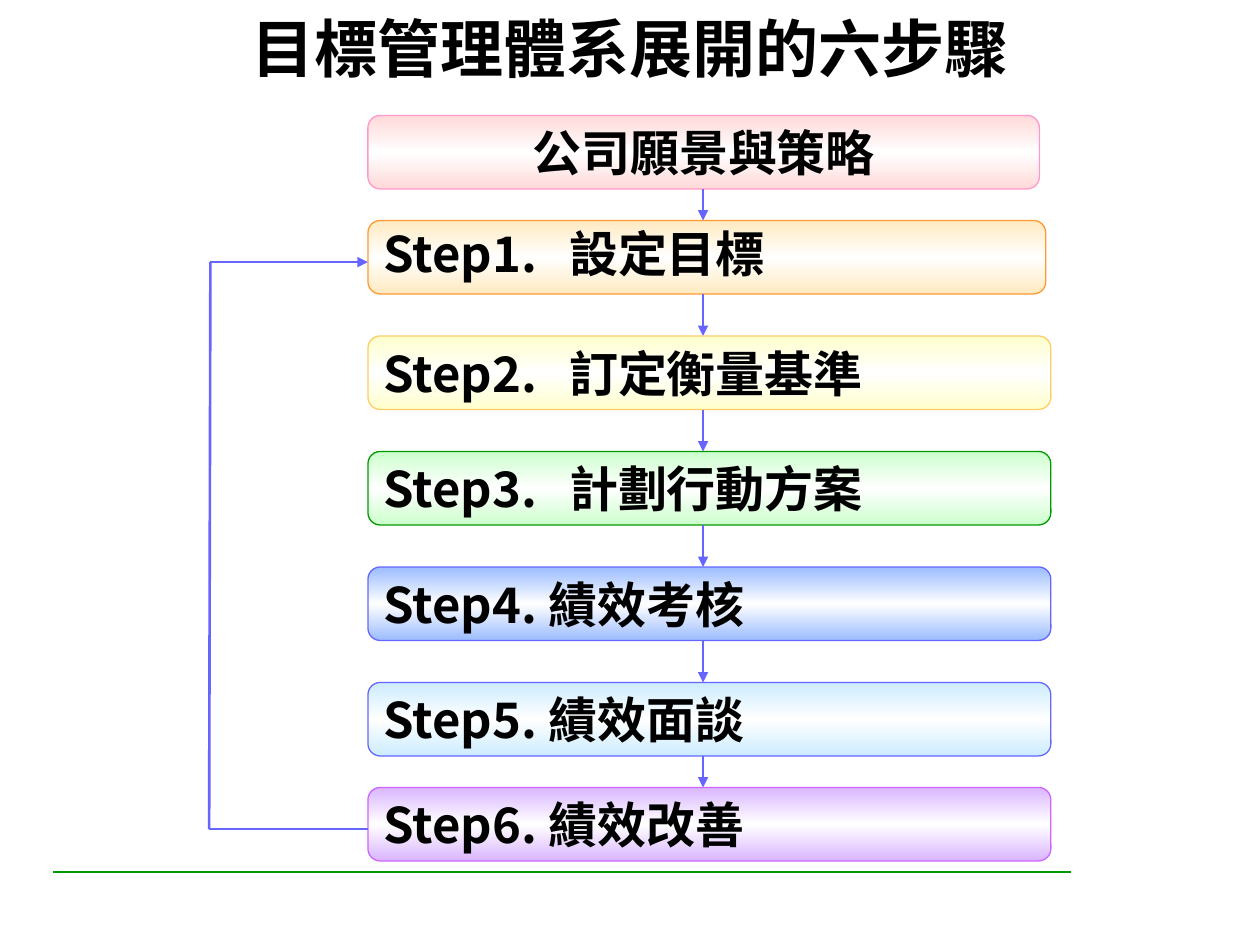
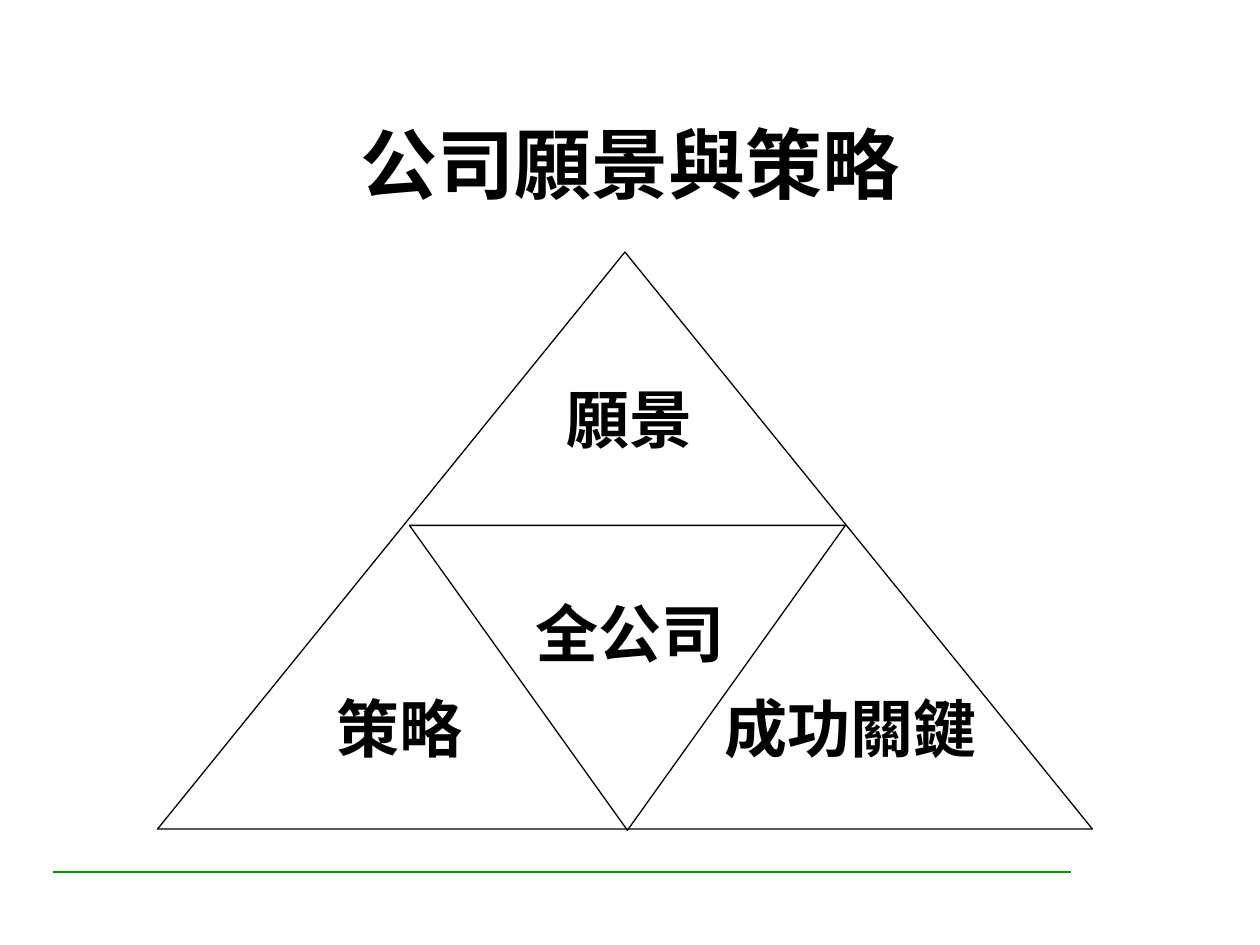
from copy import deepcopy
from dataclasses import dataclass

from lxml.etree import SubElement
from pptx import Presentation
from pptx.dml.color import RGBColor as Rgb
from pptx.enum.shapes import MSO_CONNECTOR as Wire, MSO_SHAPE as Form
from pptx.enum.text import MSO_ANCHOR as Anchor, MSO_AUTO_SIZE as Fit, PP_ALIGN as Align
from pptx.oxml.ns import qn
from pptx.util import Inches, Pt


@dataclass(frozen=True)
class Theme:
    font: str = "Noto Sans CJK SC"
    serif: str = "Times New Roman"
    ink: str = "000000"
    white: str = "FFFFFF"
    green: str = "009900"
    blue: str = "6666FF"
    head: int = 36
    large: int = 44
    step: int = 28
    label: int = 36
    thin: float = 0.75
    thick: float = 1.5


theme = Theme()


def write(shape, text, size, font=theme.font, align=Align.CENTER, anchor=Anchor.MIDDLE, space=None, tab=None):
    frame = shape.text_frame
    frame.auto_size = Fit.NONE
    frame.word_wrap = True
    frame.vertical_anchor = anchor
    para = frame.paragraphs[0]
    para.alignment = align
    if space:
        para.line_spacing = space
    if tab:
        stops = SubElement(para._p.get_or_add_pPr(), qn("a:tabLst"))
        SubElement(stops, qn("a:tab"), pos=str(Inches(tab)), algn="l")
    run = para.add_run()
    run.text = text
    run.font.size = Pt(size)
    run.font.bold = True
    run.font.name = font
    run.font.color.rgb = Rgb.from_string(theme.ink)
    SubElement(run._r.get_or_add_rPr(), qn("a:ea"), typeface=theme.font)


def link(slide, start, end, color, width, arrow=False):
    line = slide.shapes.add_connector(Wire.STRAIGHT, *map(Inches, start + end))
    line.line.color.rgb = Rgb.from_string(color)
    line.line.width = Pt(width)
    if arrow:
        SubElement(line.line._get_or_add_ln(), qn("a:tailEnd"), type="triangle")
    SubElement(line.element.spPr, qn("a:effectLst"))
    return line


deck = Presentation()
deck.slide_width, deck.slide_height = Inches(10), Inches(7.5)

slides = []
for text, top, size in (
    ("目標管理體系展開的六步驟", -0.19, theme.head),
    ("公司願景與策略", 0.73, theme.large),
):
    slide = deck.slides.add_slide(deck.slide_layouts[5])
    title = slide.shapes.title
    title.left, title.top = Inches(0.81), Inches(top)
    title.width, title.height = Inches(8.38), Inches(1.13)
    write(title, text, size)
    slides.append(slide)
flow, vision = slides

rule = link(flow, (0.42, 6.92), (8.5, 6.92), theme.green, theme.thick)
rule.element.nvCxnSpPr.cNvPr.set("id", "20")
deck.slide_master.shapes.element.append(rule.element)

unit = 1 / 12
left, high, mid = 2.92, 7 * unit, 5.58
top = 11 * unit
rows = (
    ("公司願景與策略", 5.33, "FFD9D9", "FF99CC", 3, {}),
    ("Step1.\t設定目標", 5.38, "FFEAC1", "FF9933", 4, {"anchor": Anchor.TOP, "space": 0.9}),
    ("Step2.\t訂定衡量基準", 5.42, "FFFFCC", "FFCC66", 4, {}),
    ("Step3.\t計劃行動方案", 5.42, "CCFFCC", theme.green, 4, {}),
    ("Step4. 績效考核", 5.42, "9BBCFF", theme.blue, 4, {}),
    ("Step5. 績效面談", 5.42, "CCECFF", theme.blue, 3, {}),
    ("Step6. 績效改善", 5.42, "DAB5FF", "CC66FF", 0, {}),
)
for text, wide, tint, edge, gap, extra in rows:
    box = flow.shapes.add_shape(
        Form.ROUNDED_RECTANGLE, Inches(left), Inches(top), Inches(wide), Inches(high)
    )
    box.shadow.inherit = False
    box.line.color.rgb = Rgb.from_string(edge)
    box.line.width = Pt(theme.thin)
    box.fill.gradient()
    box.fill.gradient_angle = 90
    first, last = box.fill.gradient_stops
    first.color.rgb = Rgb.from_string(tint)
    last.color.rgb = Rgb.from_string(theme.white)
    last.position = 0.5
    stops = box.element.spPr.find(".//" + qn("a:gsLst"))
    third = deepcopy(stops[0])
    third.set("pos", "100000")
    stops.append(third)
    align = Align.LEFT if text.startswith("Step") else Align.CENTER
    tab = 1.47 if "\t" in text else None
    write(box, text, theme.step, align=align, tab=tab, **extra)
    base = top + high
    top = base + gap * unit
    if gap:
        link(flow, (mid, base), (mid, top), theme.blue, theme.thin, arrow=True)

link(flow, (1.66, 6.58), (left, 6.58), theme.blue, theme.thick)
link(flow, (1.67, 2.08), (left, 2.08), theme.blue, theme.thick, arrow=True)
link(flow, (1.67, 2.08), (1.66, 6.58), theme.blue, theme.thick)

for x, y, wide, tall, flip in ((1.25, 2, 7.42, 4.58, "0"), (3.25, 4.17, 3.46, 2.42, "1")):
    shape = vision.shapes.add_shape(
        Form.ISOSCELES_TRIANGLE, Inches(x), Inches(y), Inches(wide), Inches(tall)
    )
    shape.shadow.inherit = False
    shape.fill.background()
    shape.line.color.rgb = Rgb.from_string(theme.ink)
    shape.line.width = Pt(theme.thin)
    shape.element.spPr.find(qn("a:xfrm")).set("flipV", flip)

for text, x, y in (
    ("全公司", 3.5, 4.67),
    ("策略", 1.67, 5.42),
    ("願景", 3.5, 2.97),
    ("成功關鍵", 5.25, 5.42),
):
    label = vision.shapes.add_textbox(Inches(x), Inches(y), Inches(3), Inches(0.7))
    write(label, text, theme.label, font=theme.serif, anchor=Anchor.TOP)

deck.save("out.pptx")
